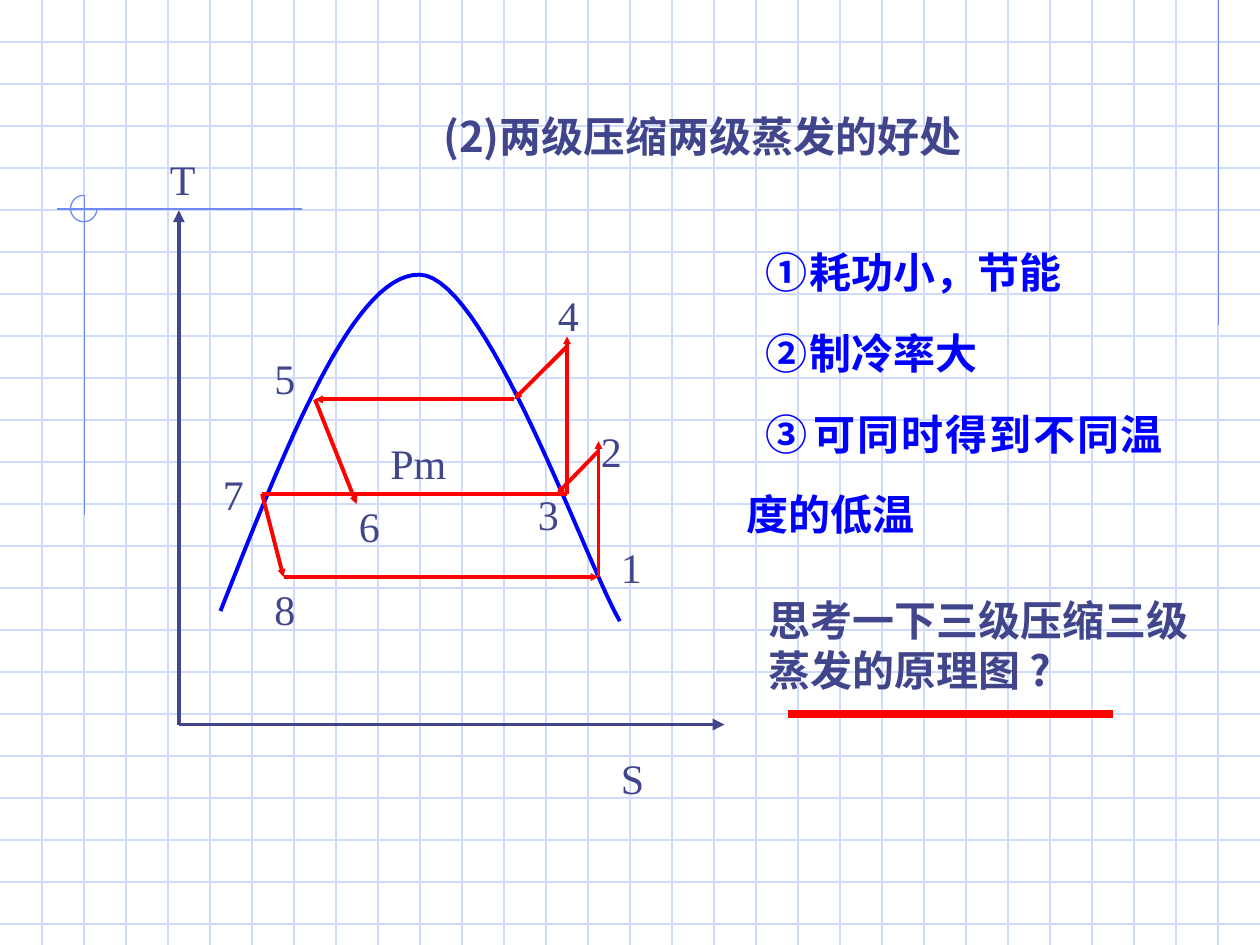
"""Build the slide on two-stage compression with its T-S chart."""
import pptx
import pptx.dml.color
import pptx.enum.shapes
import pptx.enum.text
import pptx.oxml.ns
import pptx.util
import lxml.etree

Inches = pptx.util.Inches
qn = pptx.oxml.ns.qn
ROMAN, HAN = "Times New Roman", "Noto Sans CJK SC"
COLORS = {"grid": "CFDBFD", "trim": "6F89F7", "ink": "40458C", "blue": "0000FF", "red": "FF0000"}

TITLE = "(2)两级压缩两级蒸发的好处"
GAINS = ["①\t耗功小，节能", "②\t制冷率大", "③\t可同时得到不同温度的低温"]
TASK = "思考一下三级压缩三级蒸发的原理图 ?"
LABELS = [
    ("1", 4.83, 4.25), ("2", 4.67, 3.33), ("3", 4.17, 3.83), ("4", 4.33, 2.25),
    ("5", 2.08, 2.75), ("6", 2.75, 3.92), ("7", 1.67, 3.67), ("8", 2.08, 4.58),
    ("S", 4.83, 5.92), ("T", 1.25, 1.17), ("Pm", 3, 3.42),
]
TRIM = [((9.67, 0), (9.67, 2.58)), ((2.4, 1.66), (0.45, 1.66)), ((0.67, 1.55), (0.67, 4.09))]
AXES = [((1.42, 5.75), (5.75, 5.75)), ((1.42, 5.75), (1.42, 1.67))]
CYCLE = [
    ((4.75, 4.58), (4.75, 3.5)), ((4.75, 3.58), (4.42, 3.92)),
    ((4.5, 3.92), (4.5, 2.67)), ((4.5, 2.75), (4.08, 3.17)),
    ((4.08, 3.17), (2.5, 3.17)), ((2.5, 3.17), (2.83, 4)),
    ((2.08, 3.92), (2.25, 4.58)), ((2.25, 4.58), (4.75, 4.58)),
]
MIDDLE = ((4.5, 3.92), (2.08, 3.92))
RULE = ((6.25, 5.67), (8.83, 5.67))
DOME = [
    ((1.75, 4.85), (2.28, 3.51), (2.81, 2.17), (3.33, 2.18)),
    ((3.33, 2.18), (3.86, 2.19), (4.65, 4.47), (4.92, 4.93)),
]
STEPS = 30


def paint(color):
    return pptx.dml.color.RGBColor.from_string(COLORS[color])


def draw_line(slide, ends, color, width=0.75, head=None):
    (x1, y1), (x2, y2) = ends
    line = slide.shapes.add_connector(
        pptx.enum.shapes.MSO_CONNECTOR.STRAIGHT, Inches(x1), Inches(y1), Inches(x2), Inches(y2))
    line.line.color.rgb = paint(color)
    line.line.width = pptx.util.Pt(width)
    props = line._element.spPr
    if head:
        lxml.etree.SubElement(props.find(qn("a:ln")), qn("a:tailEnd"), type="triangle", w=head, len=head)
    lxml.etree.SubElement(props, qn("a:effectLst"))


def add_text(slide, lines, box, color="ink", font=HAN, bold=True, indent=0, tab=None, space=None, align=None):
    shape = slide.shapes.add_textbox(*map(Inches, box))
    frame = shape.text_frame
    frame.word_wrap = True
    frame.auto_size = pptx.enum.text.MSO_AUTO_SIZE.SHAPE_TO_FIT_TEXT
    for i, words in enumerate(lines):
        para = frame.paragraphs[0] if i == 0 else frame.add_paragraph()
        props = para._p.get_or_add_pPr()
        if indent:
            props.set("marL", "0")
            props.set("indent", str(Inches(indent)))
        if tab:
            tabs = lxml.etree.SubElement(props, qn("a:tabLst"))
            lxml.etree.SubElement(tabs, qn("a:tab"), pos=str(Inches(tab)), algn="l")
        para.line_spacing = space
        para.alignment = align
        run = para.add_run()
        run.text = words
        run.font.size = pptx.util.Pt(24)
        run.font.bold = bold
        run.font.color.rgb = paint(color)
        run.font.name = font
        lxml.etree.SubElement(run._r.get_or_add_rPr(), qn("a:ea"), typeface=font)


def draw_frame(slide):
    for i in range(1, 23):
        draw_line(slide, ((0, i / 3), (10, i / 3)), "grid")
    for i in range(1, 30):
        draw_line(slide, ((i / 3, 0), (i / 3, 7.5)), "grid")
    for ends in TRIM:
        draw_line(slide, ends, "trim")
    ring = slide.shapes.add_shape(
        pptx.enum.shapes.MSO_SHAPE.ARC, Inches(0.56), Inches(1.55), Inches(0.21), Inches(0.21))
    ring.adjustments[0] = 0
    ring.adjustments[1] = 270 * 0.6
    ring.shadow.inherit = False
    ring.fill.background()
    ring.line.color.rgb = paint("trim")
    ring.line.width = pptx.util.Pt(0.75)


def bend(curve, t):
    parts = ((1 - t) ** 3, 3 * t * (1 - t) ** 2, 3 * t * t * (1 - t), t ** 3)
    return tuple(Inches(sum(p * dot[axis] for p, dot in zip(parts, curve))) for axis in (0, 1))


def draw_dome(slide):
    dots = [bend(curve, i / STEPS) for curve in DOME for i in range(1, STEPS + 1)]
    build = slide.shapes.build_freeform(*map(Inches, DOME[0][0]))
    build.add_line_segments(dots, close=False)
    dome = build.convert_to_shape()
    dome.shadow.inherit = False
    dome.fill.background()
    dome.line.color.rgb = paint("blue")
    dome.line.width = pptx.util.Pt(2.25)


def draw_chart(slide):
    for ends in AXES:
        draw_line(slide, ends, "ink", 2.25, "med")
    draw_dome(slide)
    for ends in CYCLE:
        draw_line(slide, ends, "red", 2.25, "sm")
    draw_line(slide, MIDDLE, "red", 2.25)
    for name, x, y in LABELS:
        add_text(slide, [name], (x, y, 0.83 if len(name) > 1 else 0.5, 0.5), font=ROMAN, bold=False)


def main():
    deck = pptx.Presentation()
    deck.slide_width, deck.slide_height = Inches(10), Inches(7.5)
    slide = deck.slides.add_slide(deck.slide_layouts[6])
    draw_frame(slide)
    draw_chart(slide)
    add_text(slide, GAINS, (5.83, 1.67, 3.5, 2.66), color="blue", indent=0.15, tab=0.62,
             space=1.6, align=pptx.enum.text.PP_ALIGN.JUSTIFY)
    add_text(slide, [TITLE], (2.75, 0.83, 7.25, 0.5), indent=0.67)
    add_text(slide, [TASK], (6, 4.67, 3.67, 0.9))
    draw_line(slide, RULE, "red", 4.5)
    deck.save("out.pptx")


if __name__ == "__main__":
    main()
